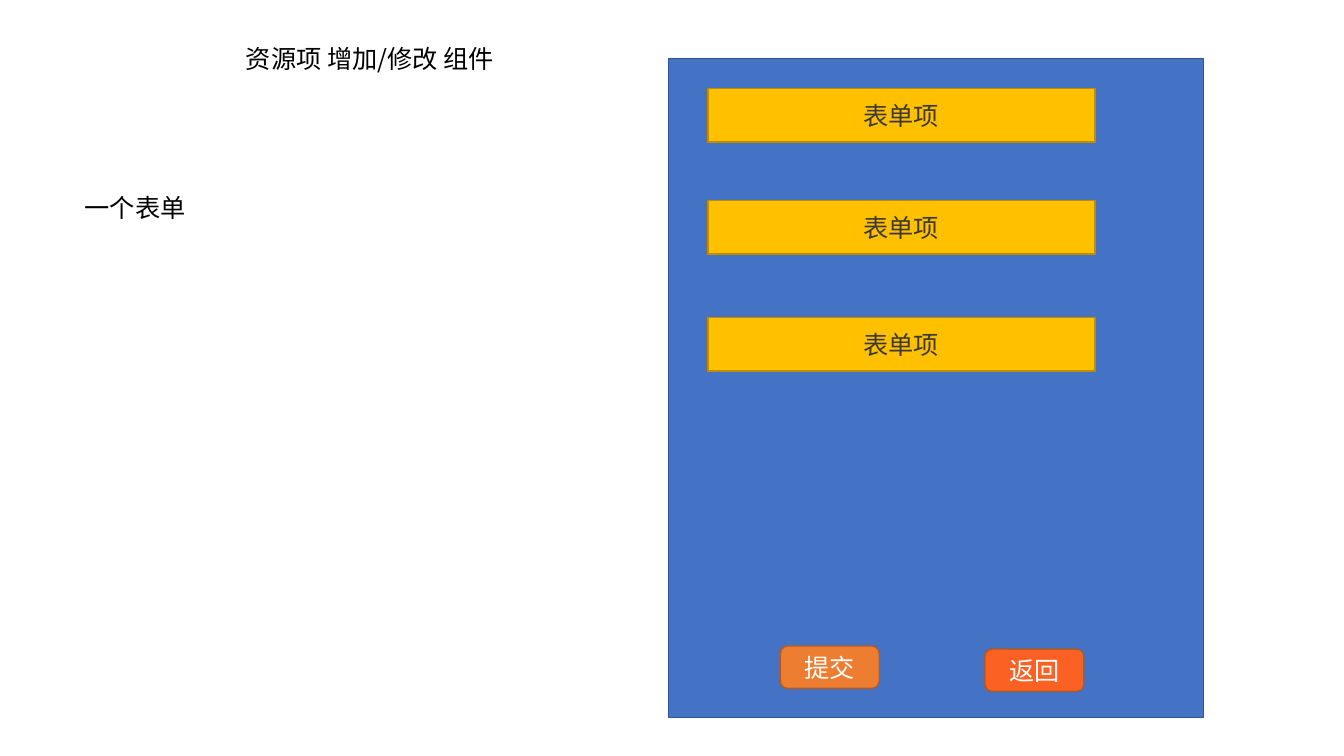
from collections import namedtuple

from lxml.etree import SubElement
from pptx import Presentation
from pptx.dml.color import RGBColor
from pptx.enum.shapes import MSO_SHAPE as Shape
from pptx.enum.text import MSO_ANCHOR as Anchor, MSO_AUTO_SIZE as AutoSize, PP_ALIGN as Align
from pptx.oxml.ns import qn
from pptx.util import Inches, Pt

FONT = "Noto Sans CJK SC"
BLACK = RGBColor(0x00, 0x00, 0x00)
WHITE = RGBColor(0xFF, 0xFF, 0xFF)
CHARCOAL = RGBColor(0x3B, 0x38, 0x38)
BLUE = RGBColor(0x44, 0x72, 0xC4)
BLUE_EDGE = RGBColor(0x32, 0x54, 0x91)
GOLD = RGBColor(0xFF, 0xC0, 0x00)
GOLD_EDGE = RGBColor(0xBD, 0x8E, 0x00)
ORANGE = RGBColor(0xED, 0x7D, 0x31)
ORANGE_RED = RGBColor(0xFB, 0x61, 0x23)
ORANGE_EDGE = RGBColor(0xAF, 0x5C, 0x24)

Box = namedtuple("Box", "left top width height")


def within(box, left, top, width, height):
    """Return the part of a box given by percentages of its size."""
    return Box(
        round(box.left + box.width * left / 100),
        round(box.top + box.height * top / 100),
        round(box.width * width / 100),
        round(box.height * height / 100),
    )


def write(frame, text, color, anchor):
    frame.word_wrap = True
    frame.vertical_anchor = anchor
    para = frame.paragraphs[0]
    para.alignment = Align.CENTER
    span = para.add_run()
    span.text = text
    span.font.name = FONT
    span.font.size = Pt(18)
    span.font.color.rgb = color
    # East Asian typeface
    SubElement(span.font._element, qn("a:ea"), typeface=FONT)


def add_block(page, kind, box, fill, edge):
    block = page.shapes.add_shape(kind, *box)
    block.shadow.inherit = False
    block.fill.solid()
    block.fill.fore_color.rgb = fill
    block.line.color.rgb = edge
    block.line.width = Pt(1)
    return block


def add_heading(page, box):
    title = page.shapes.title
    title.left, title.top, title.width, title.height = box
    title.text_frame.auto_size = AutoSize.NONE
    write(title.text_frame, "资源项 增加/修改 组件", BLACK, Anchor.TOP)


def add_caption(page, box):
    caption = page.shapes.add_textbox(*box)
    write(caption.text_frame, "一个表单", BLACK, Anchor.TOP)


def add_form(page, box):
    add_block(page, Shape.RECTANGLE, box, BLUE, BLUE_EDGE)

    # Form fields
    for top in (4.59, 21.56, 39.3):
        field_box = within(box, 7.34, top, 72.32, 8.1)
        field = add_block(page, Shape.RECTANGLE, field_box, GOLD, GOLD_EDGE)
        write(field.text_frame, "表单项", CHARCOAL, Anchor.MIDDLE)

    # Action buttons
    buttons = (("提交", 20.9, 89.14, ORANGE), ("返回", 59.13, 89.6, ORANGE_RED))
    for label, left, top, fill in buttons:
        button_box = within(box, left, top, 18.46, 6.42)
        button = add_block(page, Shape.ROUNDED_RECTANGLE, button_box, fill, ORANGE_EDGE)
        write(button.text_frame, label, WHITE, Anchor.MIDDLE)


def main():
    deck = Presentation()
    deck.slide_width, deck.slide_height = Inches(13.33), Inches(7.5)
    page = deck.slides.add_slide(deck.slide_layouts[5])
    whole = Box(0, 0, deck.slide_width, deck.slide_height)
    add_heading(page, within(whole, 1.95, 5.07, 51.16, 5.33))
    add_caption(page, within(whole, 2.55, 24.8, 15, 5.33))
    add_form(page, within(whole, 49.74, 7.73, 39.83, 87.2))
    deck.save("out.pptx")


if __name__ == "__main__":
    main()
